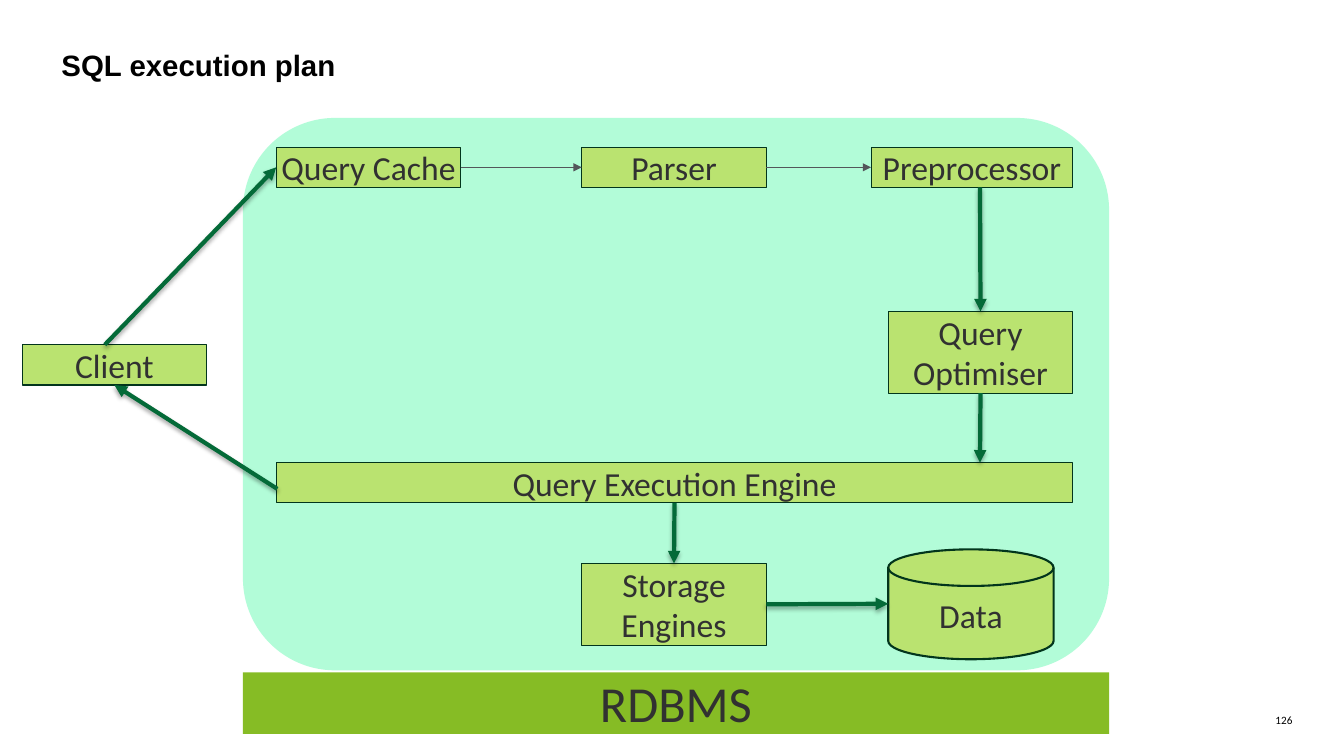
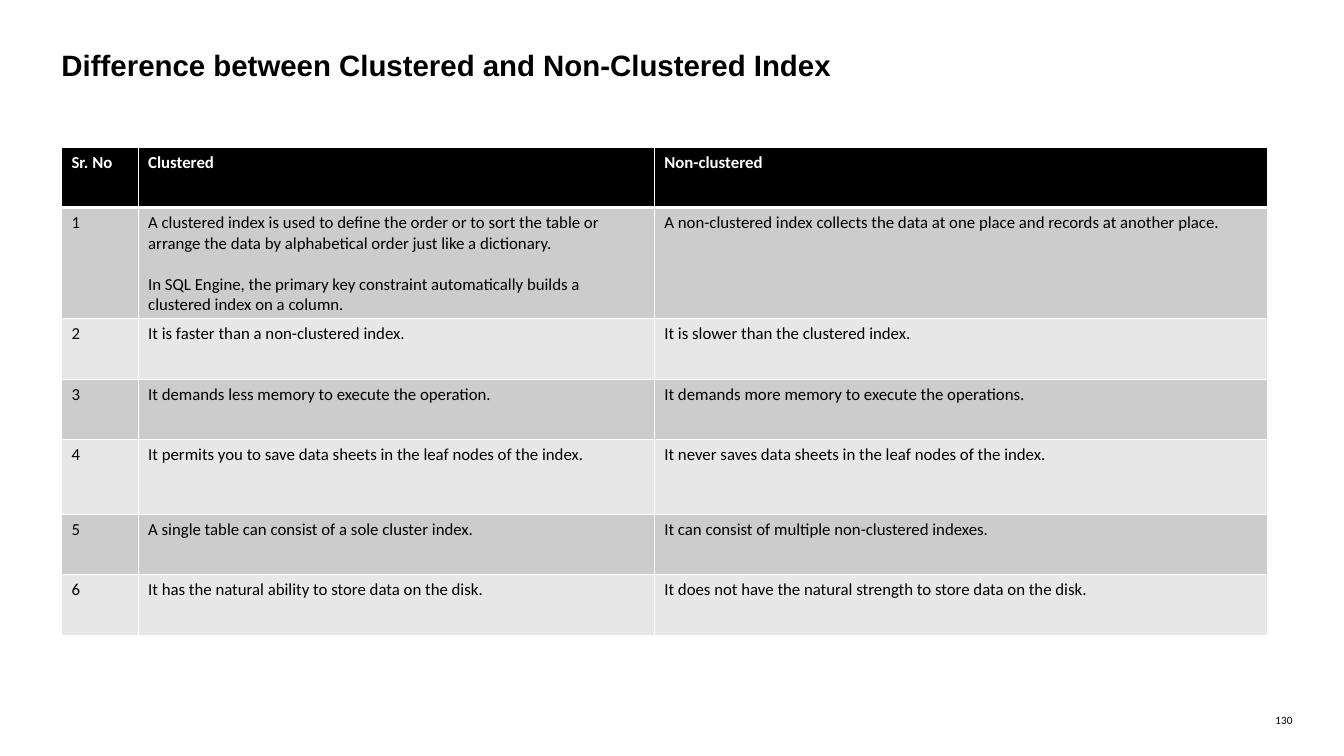
from lxml import etree
from pptx import Presentation
from pptx.dml.color import RGBColor
from pptx.enum.shapes import MSO_CONNECTOR, MSO_SHAPE
from pptx.enum.text import MSO_ANCHOR, PP_ALIGN
from pptx.oxml.ns import qn
from pptx.util import Inches, Pt

RECTANGLE = MSO_SHAPE.RECTANGLE
ROUNDED = MSO_SHAPE.ROUNDED_RECTANGLE
DISK = MSO_SHAPE.FLOWCHART_MAGNETIC_DISK
STRAIGHT = MSO_CONNECTOR.STRAIGHT
TOP, MIDDLE = MSO_ANCHOR.TOP, MSO_ANCHOR.MIDDLE
LEFT, CENTER, RIGHT = PP_ALIGN.LEFT, PP_ALIGN.CENTER, PP_ALIGN.RIGHT
TOP_SIDE, LEFT_SIDE, BOTTOM_SIDE, RIGHT_SIDE = range(4)

BLACK = RGBColor(0x00, 0x00, 0x00)
WHITE = RGBColor(0xFF, 0xFF, 0xFF)
CHARCOAL = RGBColor(0x31, 0x31, 0x31)
GREY = RGBColor(0x53, 0x56, 0x5A)
MINT = RGBColor(0xB2, 0xFC, 0xD8)
LIME = RGBColor(0xBA, 0xE3, 0x70)
GREEN = RGBColor(0x86, 0xBC, 0x25)
DARK_GREEN = RGBColor(0x04, 0x6A, 0x38)
OUTLINE_GREEN = RGBColor(0x02, 0x35, 0x1C)
BAND_DARK = RGBColor(0xCC, 0xCC, 0xCC)
BAND_LIGHT = RGBColor(0xE7, 0xE7, 0xE7)

TITLE_FONT = "Arial"
BODY_FONT = "Calibri"
TITLE_ONLY = 5
MARGIN = 0.61
BOX_WIDTH = 1.83
BOX_HEIGHT = 0.4
TALL_HEIGHT = 0.81
FLOW_TOP = 1.46

COLUMN_WIDTHS = (0.76, 5.12, 6.08)
ROW_HEIGHTS = (0.6, 1.03, 0.6, 0.6, 0.74, 0.6, 0.6)
HEADINGS = ("Sr. No", "Clustered", "Non-clustered")
COMPARISON = (
    (("A clustered index is used to define the order or to sort the table or "
      "arrange the data by alphabetical order just like a dictionary.",
      "In SQL Engine, the primary key constraint automatically builds a "
      "clustered index on a column."),
     ("A non-clustered index collects the data at one place and records at "
      "another place.",)),
    (("It is faster than a non-clustered index.",),
     ("It is slower than the clustered index.",)),
    (("It demands less memory to execute the operation.",),
     ("It demands more memory to execute the operations.",)),
    (("It permits you to save data sheets in the leaf nodes of the index.",),
     ("It never saves data sheets in the leaf nodes of the index.",)),
    (("A single table can consist of a sole cluster index.",),
     ("It can consist of multiple non-clustered indexes.",)),
    (("It has the natural ability to store data on the disk.",),
     ("It does not have the natural strength to store data on the disk.",)),
)


def add_run(paragraph, text, size, color, font=BODY_FONT, bold=False):
    run = paragraph.add_run()
    run.text = text
    run.font.size = Pt(size)
    run.font.name = font
    run.font.bold = bold
    run.font.color.rgb = color


def format_frame(frame, anchor=TOP, inset=0):
    frame.word_wrap = True
    frame.vertical_anchor = anchor
    frame.margin_left = frame.margin_right = Inches(inset)
    frame.margin_top = frame.margin_bottom = Inches(inset)


def add_titled_slide(presentation, title, number):
    slide = presentation.slides.add_slide(presentation.slide_layouts[TITLE_ONLY])
    shape = slide.shapes.title
    shape.left, shape.top = Inches(MARGIN), Inches(0.47)
    shape.width, shape.height = Inches(9.01), Inches(0.5)
    format_frame(shape.text_frame)
    paragraph = shape.text_frame.paragraphs[0]
    paragraph.alignment = LEFT
    add_run(paragraph, title, 21, BLACK, TITLE_FONT, True)

    number_box = slide.shapes.add_textbox(
        Inches(12.48), Inches(7.08), Inches(0.34), Inches(0.13))
    format_frame(number_box.text_frame)
    paragraph = number_box.text_frame.paragraphs[0]
    paragraph.alignment = RIGHT
    add_run(paragraph, number, 8, BLACK)
    return slide


def add_panel(slide, left, top, width, height, fill, geometry=RECTANGLE):
    shape = slide.shapes.add_shape(
        geometry, Inches(left), Inches(top), Inches(width), Inches(height))
    shape.shadow.inherit = False
    shape.fill.solid()
    shape.fill.fore_color.rgb = fill
    shape.line.fill.background()
    return shape


def add_label(shape, text, size=24):
    format_frame(shape.text_frame)
    paragraph = shape.text_frame.paragraphs[0]
    paragraph.alignment = CENTER
    add_run(paragraph, text, size, CHARCOAL)


def add_box(slide, text, left, top, width=BOX_WIDTH, height=BOX_HEIGHT,
            geometry=RECTANGLE, line_width=0.75):
    shape = add_panel(slide, left, top, width, height, LIME, geometry)
    shape.line.color.rgb = OUTLINE_GREEN
    shape.line.width = Pt(line_width)
    add_label(shape, text)
    return shape


def add_arrow(slide, start, end, color=DARK_GREEN, width=3, shadow=True):
    ends = [None if isinstance(place[0], (int, float)) else place
            for place in (start, end)]
    points = [(0, 0) if joined else [Inches(value) for value in place]
              for place, joined in zip((start, end), ends)]
    connector = slide.shapes.add_connector(STRAIGHT, *points[0], *points[1])
    if ends[0]:
        connector.begin_connect(*ends[0])
    if ends[1]:
        connector.end_connect(*ends[1])
    connector.line.color.rgb = color
    connector.line.width = Pt(width)
    line = connector.line._get_or_add_ln()
    etree.SubElement(line, qn("a:tailEnd"), type="triangle")
    properties = connector._element.spPr
    effects = etree.SubElement(properties, qn("a:effectLst"))
    if shadow:
        outer = etree.SubElement(
            effects, qn("a:outerShdw"), blurRad="40000", dist="23000",
            dir="5400000", rotWithShape="0")
        black = etree.SubElement(outer, qn("a:srgbClr"), val=str(BLACK))
        etree.SubElement(black, qn("a:alpha"), val="35000")


def set_borders(cell, widths):
    properties = cell._tc.get_or_add_tcPr()
    for index, (side, width) in enumerate(zip("LRTB", widths)):
        border = etree.Element(qn(f"a:ln{side}"), w=str(Pt(width)))
        fill = etree.SubElement(border, qn("a:solidFill"))
        etree.SubElement(fill, qn("a:srgbClr"), val=str(WHITE))
        properties.insert(index, border)


def fill_cell(cell, texts, fill, color, bold, borders):
    cell.fill.solid()
    cell.fill.fore_color.rgb = fill
    set_borders(cell, borders)
    frame = cell.text_frame
    for index, text in enumerate(texts):
        paragraph = frame.add_paragraph() if index else frame.paragraphs[0]
        if index:
            paragraph.space_before = Pt(14.6)
        add_run(paragraph, text, 12, color, bold=bold)


def add_comparison_table(slide):
    rows = [[(heading,) for heading in HEADINGS]]
    rows += [[(str(number),), *texts]
             for number, texts in enumerate(COMPARISON, 1)]
    table = slide.shapes.add_table(
        len(rows), len(HEADINGS), Inches(MARGIN), Inches(FLOW_TOP),
        Inches(sum(COLUMN_WIDTHS)), Inches(sum(ROW_HEIGHTS))).table
    for column, width in zip(table.columns, COLUMN_WIDTHS):
        column.width = Inches(width)
    for row_index, texts in enumerate(rows):
        table.rows[row_index].height = Inches(ROW_HEIGHTS[row_index])
        header = row_index == 0
        band = BAND_DARK if row_index % 2 else BAND_LIGHT
        borders = (1, 1, 3 if row_index == 1 else 1, 3 if header else 1)
        for column_index, cell_texts in enumerate(texts):
            fill_cell(table.cell(row_index, column_index), cell_texts,
                      BLACK if header else band,
                      WHITE if header else BLACK, header, borders)


def build_execution_plan(presentation):
    slide = add_titled_slide(presentation, "SQL execution plan", "126")
    add_panel(slide, 2.41, 1.17, 8.59, 5.48, MINT, ROUNDED)
    cache = add_box(slide, "Query Cache", 2.74, FLOW_TOP)
    parser = add_box(slide, "Parser", 5.77, FLOW_TOP)
    preprocessor = add_box(slide, "Preprocessor", 8.64, FLOW_TOP, 2)
    optimiser = add_box(slide, "Query Optimiser", 8.81, 3.09, height=TALL_HEIGHT)
    engine = add_box(slide, "Query Execution Engine", 2.74, 4.59, 7.9)
    storage = add_box(slide, "Storage Engines", 5.77, 5.59, height=TALL_HEIGHT)
    data = add_box(slide, "Data", 8.81, 5.45, 1.64, 1.09, DISK, 1.5)
    format_frame(data.text_frame, MIDDLE, 0.1)
    data.text_frame.paragraphs[0].line_spacing = 1.06
    client = add_box(slide, "Client", 0.22, 3.42)

    for start, end in ((cache, parser), (parser, preprocessor)):
        add_arrow(slide, (start, RIGHT_SIDE), (end, LEFT_SIDE), GREY, 0.75, False)
    for start, end in (
        ((9.72, 1.86), (optimiser, TOP_SIDE)),
        ((optimiser, BOTTOM_SIDE), (9.72, 4.59)),
        ((engine, BOTTOM_SIDE), (storage, TOP_SIDE)),
        ((storage, RIGHT_SIDE), (8.81, 5.99)),
        ((1.04, 3.42), (cache, LEFT_SIDE)),
        ((2.75, 4.85), (client, BOTTOM_SIDE)),
    ):
        add_arrow(slide, start, end)
    add_label(add_panel(slide, 2.41, 6.67, 8.59, 0.61, GREEN), "RDBMS", 36)


def build_index_comparison(presentation):
    slide = add_titled_slide(
        presentation, "Difference between Clustered and Non-Clustered Index", "130")
    add_comparison_table(slide)


def main():
    presentation = Presentation()
    presentation.slide_width = Inches(13.33)
    presentation.slide_height = Inches(7.5)
    build_execution_plan(presentation)
    build_index_comparison(presentation)
    presentation.save("out.pptx")


if __name__ == "__main__":
    main()
